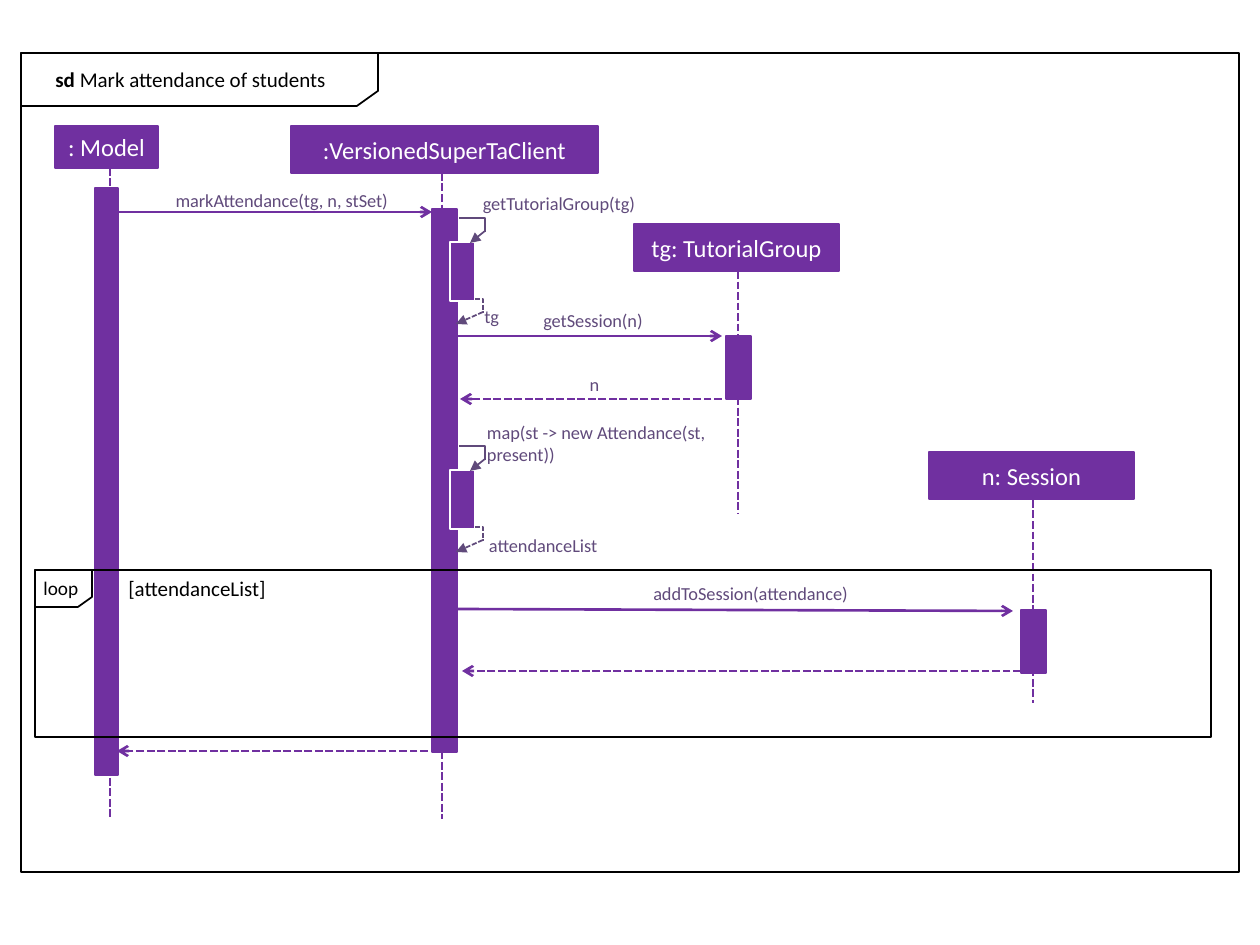
from lxml.etree import SubElement
from pptx import Presentation
from pptx.dml.color import RGBColor
from pptx.enum.dml import MSO_LINE
from pptx.enum.shapes import MSO_CONNECTOR, MSO_SHAPE
from pptx.enum.text import MSO_ANCHOR, MSO_AUTO_SIZE, PP_ALIGN
from pptx.oxml.ns import qn
from pptx.util import Emu, Pt

SCALE = 914400 / 126
PURPLE, VIOLET, BLACK, WHITE = "7030A0", "604A7B", "000000", "FFFFFF"
LEFT, CENTER, RIGHT = PP_ALIGN.LEFT, PP_ALIGN.CENTER, PP_ALIGN.RIGHT

FRAME = (21, 53, 1218, 819)
LOOP = (35, 570, 1176, 167)
HEADS = [
    (":VersionedSuperTaClient", (291, 126, 307, 47)),
    (": Model", (55, 126, 103, 42)),
    ("tg: TutorialGroup", (634, 224, 205, 47)),
    ("n: Session", (929, 452, 205, 47)),
]
LIFELINES = [(110, 168, 819), (442, 173, 819), (738, 271, 514), (1033, 500, 703)]
ACTIVATIONS = [
    (95, 188, 23, 587),
    (432, 209, 25, 543),
    (726, 336, 25, 63),
    (1021, 610, 25, 63),
]
CALLS = [(118, 212, 432, 212), (457, 336, 722, 336), (451, 609, 1013, 611)]
RETURNS = [(722, 399, 460, 399), (1021, 671, 462, 671), (428, 751, 117, 751)]
SELF_CALL_TOPS = [218, 446]
LABELS = [
    ("markAttendance(tg, n, stSet)", (131, 189, 257, 23), RIGHT),
    ("getTutorialGroup(tg)", (465, 192, 170, 23), RIGHT),
    ("tg", (425, 305, 74, 23), RIGHT),
    ("getSession(n)", (522, 309, 142, 23), CENTER),
    ("n", (466, 373, 257, 23), CENTER),
    ("map(st -> new Attendance(st, present))", (487, 421, 233, 44), LEFT),
    ("attendanceList", (489, 534, 141, 23), LEFT),
    ("addToSession(attendance)", (622, 582, 257, 23), CENTER),
]

presentation = Presentation()


def px(*values):
    return [Emu(round(value * SCALE)) for value in values]


def color(value):
    return RGBColor.from_string(value)


presentation.slide_width, presentation.slide_height = px(1260, 945)
slide = presentation.slides.add_slide(presentation.slide_layouts[6])


def paint(shape, fill, line, width):
    shape.shadow.inherit = False
    if fill:
        shape.fill.solid()
        shape.fill.fore_color.rgb = color(fill)
    else:
        shape.fill.background()
    shape.line.color.rgb = color(line)
    shape.line.width = Pt(width)


def add_box(box, fill=PURPLE, line=PURPLE, width=0.75):
    shape = slide.shapes.add_shape(MSO_SHAPE.RECTANGLE, *px(*box))
    paint(shape, fill, line, width)
    return shape


def add_tag(left, top, right, bottom, cut_left, cut_top, fill=None):
    builder = slide.shapes.build_freeform(left, top, scale=SCALE)
    builder.add_line_segments(
        [(right, top), (right, cut_top), (cut_left, bottom), (left, bottom)], close=True)
    paint(builder.convert_to_shape(), fill, BLACK, 1)


def write(frame, text, size=10.5, font_color=VIOLET, align=LEFT, bold_start=""):
    frame.word_wrap = True
    paragraph = frame.paragraphs[0]
    paragraph.alignment = align
    for part, bold in ((bold_start, True), (text, False)):
        if part:
            run = paragraph.add_run()
            run.text = part
            run.font.name = "Calibri"
            run.font.size = Pt(size)
            run.font.bold = bold
            run.font.color.rgb = color(font_color)


def add_text(text, box, inset=True, **style):
    frame = slide.shapes.add_textbox(*px(*box)).text_frame
    frame.auto_size = MSO_AUTO_SIZE.SHAPE_TO_FIT_TEXT
    if not inset:
        frame.margin_left = frame.margin_top = frame.margin_right = frame.margin_bottom = 0
    write(frame, text, **style)


def add_line(ends, line=PURPLE, width=1.5, dashed=False, arrow=None, elbow=False):
    kind = MSO_CONNECTOR.ELBOW if elbow else MSO_CONNECTOR.STRAIGHT
    connector = slide.shapes.add_connector(kind, *px(*ends))
    connector.line.color.rgb = color(line)
    connector.line.width = Pt(width)
    if dashed:
        connector.line.dash_style = MSO_LINE.SQUARE_DOT
    properties = connector.element.spPr
    if arrow:
        SubElement(properties.find(qn("a:ln")), qn("a:tailEnd"), type=arrow)
    if elbow:
        guides = properties.find(qn("a:prstGeom")).find(qn("a:avLst"))
        SubElement(guides, qn("a:gd"), name="adj1", fmla="val 99900")
    SubElement(properties, qn("a:effectLst"))


def add_self_call(top):
    add_box((450, top + 24, 25, 59), line=WHITE, width=1)
    for start, corner, end, offset, dashed in (
        (459, 485, 470, 0, False),
        (475, 483, 456, 81, True),
    ):
        first = top + offset
        turn = first + 13
        add_line((start, first, corner, turn), VIOLET, 1, dashed, elbow=True)
        add_line((corner, turn, end, first + 25), VIOLET, 1, dashed, arrow="triangle")


add_box(FRAME, fill=None, line=BLACK, width=1)
add_tag(21, 53, 378, 106, 357, 91, fill=WHITE)
add_text(" Mark attendance of students", (43, 60, 420, 38),
         size=12, font_color=BLACK, bold_start="sd")

for name, box in HEADS:
    head = add_box(box, width=1.5)
    head.text_frame.vertical_anchor = MSO_ANCHOR.MIDDLE
    write(head.text_frame, name, size=14, font_color=WHITE, align=CENTER)
for x, top, bottom in LIFELINES:
    add_line((x, top, x, bottom), dashed=True)
for box in ACTIVATIONS:
    add_box(box)
for ends in CALLS:
    add_line(ends, arrow="arrow")
for ends in RETURNS:
    add_line(ends, dashed=True, arrow="arrow")

add_box(LOOP, fill=None, line=BLACK, width=1)
add_text("loop", (31, 570, 73, 36), size=11, font_color=BLACK)
add_tag(35, 570, 92, 607, 78, 597)
add_text("[attendanceList]", (116, 569, 178, 38), size=12, font_color=BLACK)

for top in SELF_CALL_TOPS:
    add_self_call(top)
for text, box, align in LABELS:
    add_text(text, box, inset=False, align=align)

presentation.save("out.pptx")
